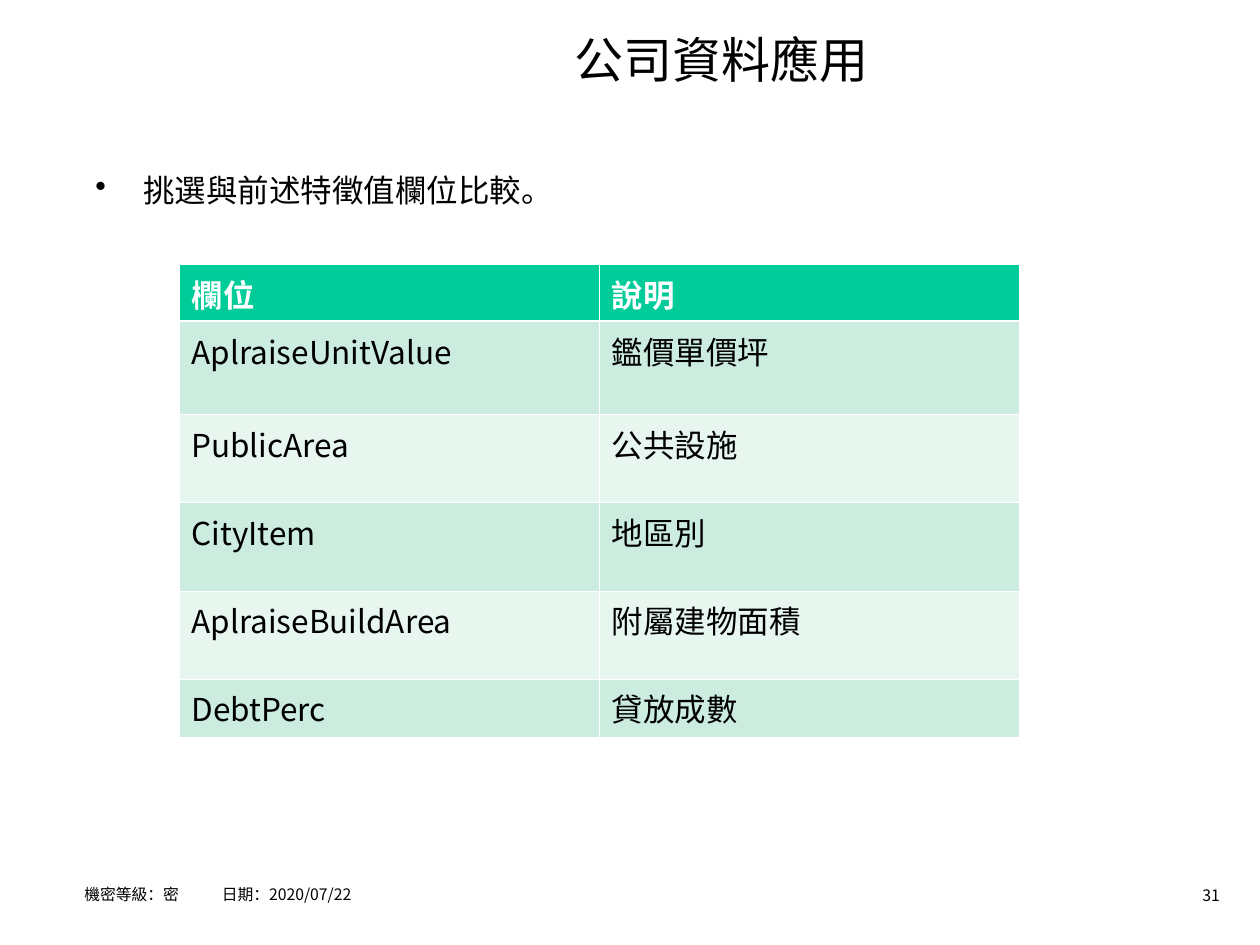
import pptx
import pptx.util
import pptx.dml.color
import pptx.enum.text
import pptx.oxml
import pptx.oxml.ns

Pt = pptx.util.Pt
ALIGN = pptx.enum.text.PP_ALIGN
MID = pptx.enum.text.MSO_ANCHOR.MIDDLE
TOP = pptx.enum.text.MSO_ANCHOR.TOP
HUES = {"ink": "000000", "paper": "FFFFFF", "head": "00CC99",
        "dark": "CBECDE", "light": "E7F6EF"}


def tone(name):
    return pptx.dml.color.RGBColor.from_string(HUES[name])


def add_xml(node, text):
    space = pptx.oxml.ns.nsdecls("a")
    node.append(pptx.oxml.parse_xml(text.replace(">", f" {space}>", 1)))


class Deck:
    """Style and current slide, on a grid of 100 columns by 75 rows."""
    face = "Noto Sans CJK SC"
    cols, rows = 100, 75

    def __init__(self, wide, high):
        self.show = pptx.Presentation()
        self.show.slide_width = pptx.util.Inches(wide)
        self.show.slide_height = pptx.util.Inches(high)
        self.slide = self.show.slides.add_slide(self.show.slide_layouts[5])

    def x(self, col):
        return round(self.show.slide_width * col / self.cols)

    def y(self, row):
        return round(self.show.slide_height * row / self.rows)

    def box(self, col, row, wide, high):
        return self.x(col), self.y(row), self.x(wide), self.y(high)

    def label(self, frame, text, size, hue="ink", bold=False, align=ALIGN.LEFT,
              line=1.0, marks=()):
        para = frame.paragraphs[0]
        para.text = text
        for key, value in {"alignment": align, "line_spacing": line,
                           "space_before": Pt(0)}.items():
            setattr(para, key, value)
        for mark in marks:
            add_xml(para._p.get_or_add_pPr(), mark)
        for run in para.runs:
            for key, value in {"name": self.face, "size": Pt(size),
                               "bold": bold}.items():
                setattr(run.font, key, value)
            run.font.color.rgb = tone(hue)
            add_xml(run._r.get_or_add_rPr(), f'<a:ea typeface="{self.face}"></a:ea>')
        return para

    def title(self, text, place, size):
        shape = self.slide.shapes.title
        for key, value in zip(("left", "top", "width", "height"), self.box(*place)):
            setattr(shape, key, value)
        shape.text_frame.vertical_anchor = MID
        self.label(shape.text_frame, text, size, align=ALIGN.CENTER)

    def text(self, text, place, size, anchor=TOP, inset=1, **style):
        frame = self.slide.shapes.add_textbox(*self.box(*place)).text_frame
        for key, value in {"word_wrap": True, "vertical_anchor": anchor,
                           "margin_left": self.x(inset)}.items():
            setattr(frame, key, value)
        return self.label(frame, text, size, **style)

    def bullet(self, text, place, size, indent):
        para = self.text(text, place, size, marks=['<a:buChar char="•"></a:buChar>'])
        props = para._p.get_or_add_pPr()
        props.set("marL", str(self.x(indent)))
        props.set("indent", str(-self.x(indent)))

    def edge(self, cell, side, width):
        add_xml(cell._tc.get_or_add_tcPr(),
                f'<a:ln{side} w="{Pt(width)}"><a:solidFill>'
                f'<a:srgbClr val="{HUES["paper"]}"/></a:solidFill></a:ln{side}>')

    def table(self, data, col, row, wide, highs, size):
        place = self.box(col, row, wide, sum(highs))
        grid = self.slide.shapes.add_table(len(data), len(data[0]), *place).table
        for r, (line, high) in enumerate(zip(data, highs)):
            grid.rows[r].height = self.y(high)
            fill = "head" if r == 0 else ("light", "dark")[r % 2]
            thick = {0: "B", 1: "T"}.get(r)
            for c, text in enumerate(line):
                cell = grid.cell(r, c)
                for side in "LRTB":
                    self.edge(cell, side, 1.47 if side == thick else 0.45)
                cell.fill.solid()
                cell.fill.fore_color.rgb = tone(fill)
                self.label(cell.text_frame, text, size,
                           hue="ink" if r else "paper", bold=r == 0)


def main():
    deck = Deck(10, 7.5)

    # Title and lead point
    deck.title("公司資料應用", (23.1, 1.7, 68.3, 5.9), 28)
    deck.bullet("挑選與前述特徵值欄位比較。", (6.6, 13.1, 87.4, 55.9), 18, 3.8)

    # Field table
    fields = [("欄位", "說明"),
              ("AplraiseUnitValue", "鑑價單價坪"),
              ("PublicArea", "公共設施"),
              ("CityItem", "地區別"),
              ("AplraiseBuildArea", "附屬建物面積"),
              ("DebtPerc", "貸放成數")]
    deck.table(fields, 14.2, 21, 66.7, [4.5, 7.4, 7, 7, 7, 4.6], 18)

    # Footer and page number
    stop = f'<a:tabLst><a:tab pos="{deck.x(10.9)}" algn="l"/></a:tabLst>'
    deck.text("機密等級：密\t日期：2020/07/22", (6.7, 69, 74.2, 3.1), 9,
              inset=0, line=1.5, marks=[stop])
    deck.text("31", (91, 69.8, 6.8, 2.5), 9, anchor=MID, align=ALIGN.RIGHT)

    deck.show.save("out.pptx")


if __name__ == "__main__":
    main()
